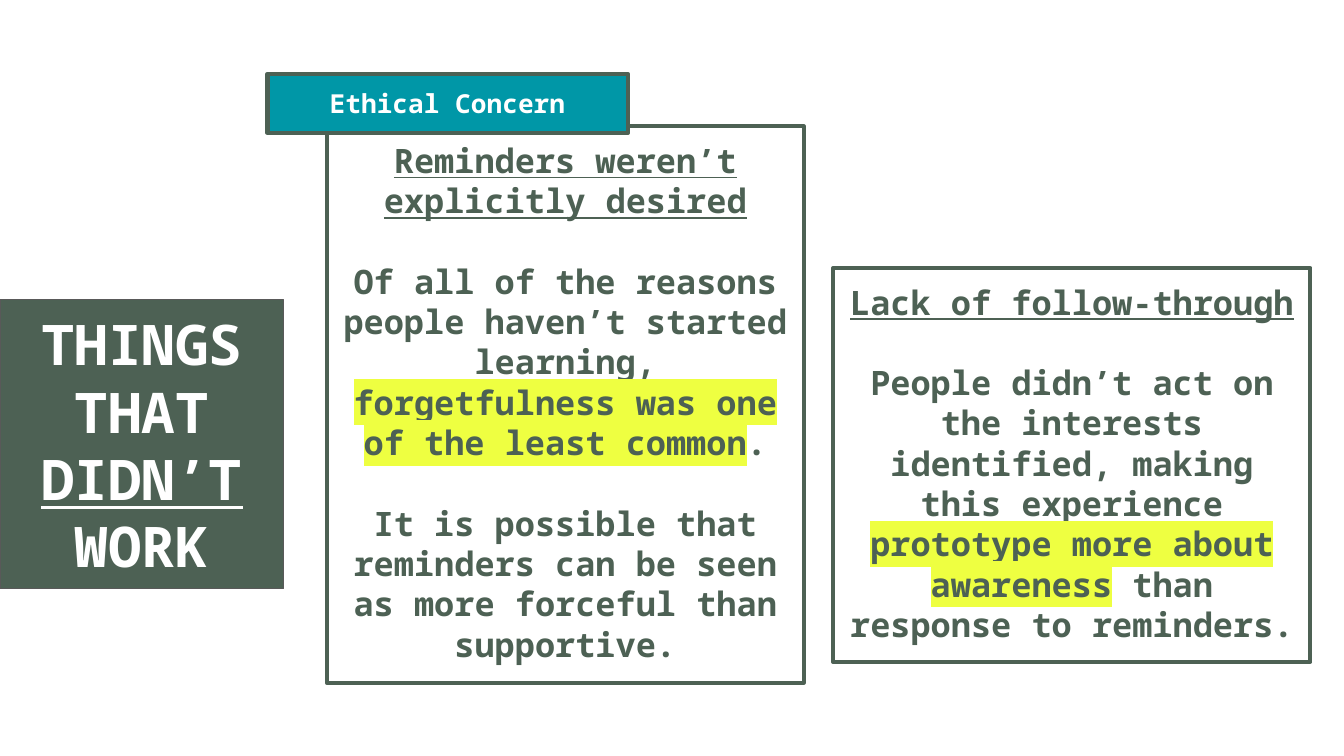
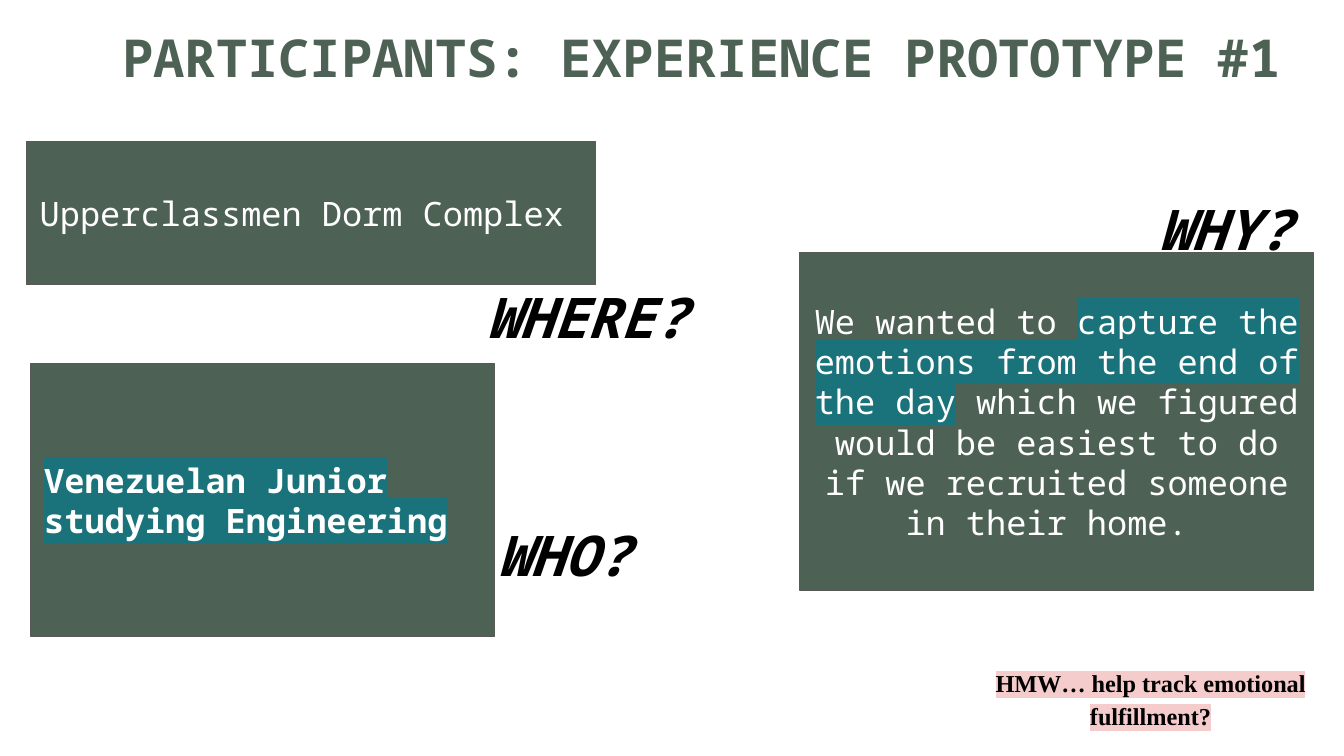
import pptx
import pptx.util
import pptx.dml.color
import pptx.enum.shapes
import pptx.enum.text
import pptx.oxml
import pptx.oxml.ns
from lxml import etree

GREEN = "4D6154"
GREY = "595959"
WHITE = "FFFFFF"
BLACK = "000000"
TEAL = "0097A7"
DARK_TEAL = "1A727B"
YELLOW = "EEFF41"
PINK = "F4CCCC"
MONO = "Noto Sans Mono"
SERIF = "Times New Roman"
LINE_GAP = 21.6
INSET = 7.2

LEFT = pptx.enum.text.PP_ALIGN.LEFT
CENTER = pptx.enum.text.PP_ALIGN.CENTER
TOP = pptx.enum.text.MSO_ANCHOR.TOP
MIDDLE = pptx.enum.text.MSO_ANCHOR.MIDDLE

DARK_BLOCK = {"fill": GREEN, "line": GREY, "width": 0.75, "anchor": MIDDLE}
OUTLINED = {"fill": WHITE, "line": GREEN, "width": 2.25, "anchor": TOP}
TAG = {**OUTLINED, "fill": TEAL}
TITLE_BAND = {"fill": WHITE, "line": WHITE, "width": 0.75, "anchor": TOP}

BODY = {"size": 18, "name": MONO, "color": WHITE}
CARD_TEXT = {**BODY, "color": GREEN, "bold": True}
CARD_HEADING = {**CARD_TEXT, "underline": True}
CARD_MARK = {**CARD_TEXT, "highlight": YELLOW}
TAG_TEXT = {**BODY, "size": 14, "bold": True}
SIDE_TITLE = {**BODY, "size": 30, "bold": True}
TITLE = {**CARD_TEXT, "size": 28}
QUESTION = {**SIDE_TITLE, "color": BLACK, "italic": True}
BODY_MARK = {**BODY, "highlight": DARK_TEAL}
PROMPT = {"size": 13, "name": SERIF, "color": BLACK, "bold": True, "highlight": PINK}


def rgb(value):
    return pptx.dml.color.RGBColor.from_string(value)


def add_run(paragraph, text, style):
    run = paragraph.add_run()
    run.text = text
    values = dict(style)
    color = values.pop("color")
    highlight = values.pop("highlight", None)
    values["size"] = pptx.util.Pt(values["size"])
    for name, value in values.items():
        setattr(run.font, name, value)
    run.font.color.rgb = rgb(color)
    if highlight:
        fill = run.font._element.find(pptx.oxml.ns.qn("a:solidFill"))
        mark = etree.Element(pptx.oxml.ns.qn("a:highlight"))
        etree.SubElement(mark, pptx.oxml.ns.qn("a:srgbClr"), val=highlight)
        fill.addnext(mark)


def write(shape, paragraphs, align, anchor=TOP, line_spacing=None):
    frame = shape.text_frame
    inset = pptx.util.Pt(INSET)
    settings = {"word_wrap": True, "vertical_anchor": anchor}
    settings |= {f"margin_{side}": inset for side in ("left", "top", "right", "bottom")}
    for name, value in settings.items():
        setattr(frame, name, value)
    for index, runs in enumerate(paragraphs):
        paragraph = frame.add_paragraph() if index else frame.paragraphs[0]
        paragraph.alignment = align
        if index:
            paragraph.space_before = pptx.util.Pt(LINE_GAP)
        if line_spacing:
            paragraph.line_spacing = line_spacing
        for text, style in runs:
            add_run(paragraph, text, style)


def add_block(slide, box, look, paragraphs, align=CENTER):
    shape = slide.shapes.add_shape(
        pptx.enum.shapes.MSO_SHAPE.RECTANGLE, *map(pptx.util.Pt, box)
    )
    shape.shadow.inherit = False
    shape.fill.solid()
    shape.fill.fore_color.rgb = rgb(look["fill"])
    shape.line.color.rgb = rgb(look["line"])
    shape.line.width = pptx.util.Pt(look["width"])
    write(shape, paragraphs, align, look["anchor"])


def add_label(slide, box, text, style, align=LEFT, line_spacing=None):
    label = slide.shapes.add_textbox(*map(pptx.util.Pt, box))
    write(label, [[(text, style)]], align, line_spacing=line_spacing)


def add_card(slide, box, heading, paragraphs, tag=None):
    left, top = box[:2]
    add_block(slide, box, OUTLINED, [[(heading, CARD_HEADING)], *paragraphs])
    if tag:
        tag_box = (left - 31.7, top - 28.1, 193, 31.7)
        add_block(slide, tag_box, TAG, [[(tag, TAG_TEXT)]])


def add_answer(slide, box, runs, align, question, offset, question_width):
    left, top = box[:2]
    across, down = offset
    add_block(slide, box, DARK_BLOCK, [runs], align)
    question_box = (left + across, top + down, question_width, 51.1)
    add_label(slide, question_box, question, QUESTION)


def build_problems(slide):
    side_title = [
        ("THINGS THAT ", SIDE_TITLE),
        ("DIDN’T", {**SIDE_TITLE, "underline": True}),
        (" WORK", SIDE_TITLE),
    ]
    add_block(slide, (0, 160.6, 151.9, 154.8), DARK_BLOCK, [side_title])
    add_card(
        slide,
        (175, 67.7, 255.6, 298.1),
        "Reminders weren’t explicitly desired",
        [
            [
                ("Of all of the reasons people haven’t started learning, ", CARD_TEXT),
                ("forgetfulness was one of the least common", CARD_MARK),
                (".", CARD_TEXT),
            ],
            [("It is possible that reminders can be seen as more forceful than supportive.", CARD_TEXT)],
        ],
        tag="Ethical Concern",
    )
    add_card(
        slide,
        (446.4, 143.6, 255.6, 211),
        "Lack of follow-through",
        [
            [
                ("People didn’t act on the interests identified, making this experience ", CARD_TEXT),
                ("prototype more about awareness", CARD_MARK),
                (" than response to reminders.", CARD_TEXT),
            ],
        ],
    )


def build_participants(slide):
    title = "PARTICIPANTS: EXPERIENCE PROTOTYPE #1"
    add_block(slide, (48.2, 6.5, 655.2, 48.2), TITLE_BAND, [[(title, TITLE)]])
    where = [("Upperclassmen Dorm Complex", BODY)]
    who = [("Venezuelan Junior studying Engineering", {**BODY_MARK, "bold": True})]
    why = [
        ("We wanted to ", BODY),
        ("capture the emotions from the end of the day", BODY_MARK),
        (" which we figured would be easiest to do if we recruited someone in their home. ", BODY),
    ]
    answers = [
        ((14.2, 76, 304.9, 76.3), where, LEFT, "WHERE?", (239.2, 68), 133.2),
        ((428.4, 135.4, 275.4, 180.7), why, CENTER, "WHY?", (185, -38.2), 90.7),
        ((16.6, 194.8, 248.4, 146.2), who, LEFT, "WHO?", (242.6, 76.7), 100.8),
    ]
    for answer in answers:
        add_answer(slide, *answer)
    add_label(
        slide,
        (498.2, 348.5, 236.2, 48.2),
        "HMW… help track emotional fulfillment?",
        PROMPT,
        CENTER,
        1.15,
    )


def main():
    presentation = pptx.Presentation()
    presentation.slide_width = pptx.util.Pt(720)
    presentation.slide_height = pptx.util.Pt(405)
    for build in (build_problems, build_participants):
        build(presentation.slides.add_slide(presentation.slide_layouts[6]))
    presentation.save("out.pptx")


if __name__ == "__main__":
    main()
